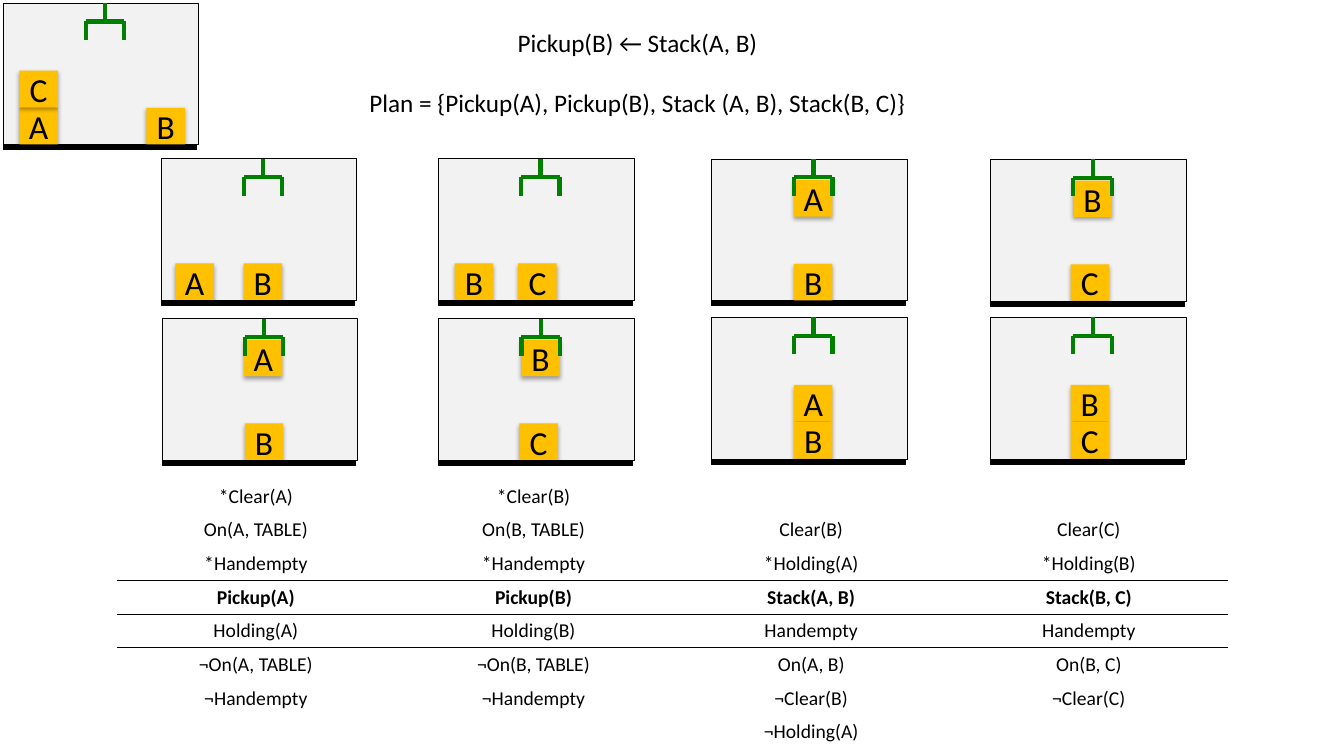
from lxml.etree import SubElement
from pptx import Presentation
from pptx.dml.color import RGBColor
from pptx.enum.shapes import MSO_CONNECTOR, MSO_SHAPE
from pptx.enum.text import MSO_ANCHOR, MSO_AUTO_SIZE, PP_ALIGN
from pptx.oxml import parse_xml
from pptx.oxml.ns import nsdecls, qn
from pptx.util import Cm, Pt

INK = {"text": "000000", "room": "F2F2F2", "block": "FFC000", "hand": "008000"}
FONT = "Calibri"

# Block heights within a scene, in cm from its top
HELD, MID, LOW = 0.53, 1.7, 2.64

# Scene corner, then its blocks: letter, left, top
SCENES = [
    (0.08, 0.08, [("A", 0.41, LOW), ("B", 3.61, LOW), ("C", 0.41, MID)]),
    # Before each step
    (4.06, 4, [("A", 0.36, LOW), ("B", 2.08, LOW)]),
    (11.05, 4, [("B", 0.41, LOW), ("C", 2.01, LOW)]),
    (17.93, 4.01, [("A", 2.08, HELD), ("B", 2.08, LOW)]),
    (24.97, 4.02, [("B", 2.08, HELD), ("C", 2.01, LOW)]),
    # After each step
    (4.09, 8.03, [("A", 2.06, HELD), ("B", 2.08, LOW)]),
    (11.06, 8.03, [("B", 2.08, HELD), ("C", 2.03, LOW)]),
    (17.93, 8, [("A", 2.08, MID), ("B", 2.08, LOW)]),
    (24.97, 8, [("B", 2.01, MID), ("C", 2.01, LOW)]),
]

STEPS = [
    ["*Clear(A)", "*Clear(B)", "", ""],
    ["On(A, TABLE)", "On(B, TABLE)", "Clear(B)", "Clear(C)"],
    ["*Handempty", "*Handempty", "*Holding(A)", "*Holding(B)"],
    ["Pickup(A)", "Pickup(B)", "Stack(A, B)", "Stack(B, C)"],
    ["Holding(A)", "Holding(B)", "Handempty", "Handempty"],
    ["¬On(A, TABLE)", "¬On(B, TABLE)", "On(A, B)", "On(B, C)"],
    ["¬Handempty", "¬Handempty", "¬Clear(B)", "¬Clear(C)"],
    ["", "", "¬Holding(A)", ""],
]
RULES = {2: ["lnB"], 3: ["lnT", "lnB"], 4: ["lnT"]}


def tint(name):
    return RGBColor.from_string(INK[name])


def write(par, text, size=18, bold=False, gap=0):
    par.alignment = PP_ALIGN.CENTER
    if gap:
        par.space_before = Pt(gap)
    if not text:
        SubElement(par._p, qn("a:endParaRPr"), sz=str(size * 100))
        return
    run = par.add_run()
    run.text = text
    font = run.font
    font.name, font.size, font.bold = FONT, Pt(size), bold
    font.color.rgb = tint("text")


def rect(group, x, y, w, h, fill, edge=True):
    shape = group.shapes.add_shape(MSO_SHAPE.RECTANGLE, Cm(x), Cm(y), Cm(w), Cm(h))
    shape.shadow.inherit = False
    shape.fill.solid()
    shape.fill.fore_color.rgb = tint(fill)
    if edge:
        shape.line.color.rgb = tint("text")
        shape.line.width = Pt(0.75)
    else:
        shape.line.fill.background()
    return shape


def block(group, x, y, letter):
    shape = rect(group, x, y, 0.97, 0.92, "block", edge=False)
    shape._element.spPr.find(qn("a:effectLst")).append(parse_xml(
        f'<a:outerShdw {nsdecls("a")} blurRad="40000" dist="23000" dir="5400000" '
        f'rotWithShape="0"><a:srgbClr val="{INK["text"]}"><a:alpha val="35000"/>'
        '</a:srgbClr></a:outerShdw>'))
    frame = shape.text_frame
    frame.word_wrap = False
    frame.vertical_anchor = MSO_ANCHOR.MIDDLE
    write(frame.paragraphs[0], letter, size=24)


def hand(group, x, y):
    left, mid, right, bar, tip = x, x + 0.49, x + 0.97, y + 0.46, y + 0.93
    for ends in [(left, bar, right, bar), (left, bar, left, tip),
                 (mid, y, mid, bar), (right, bar, right, tip)]:
        line = group.shapes.add_connector(MSO_CONNECTOR.STRAIGHT, *map(Cm, ends))
        line.line.color.rgb = tint("hand")
        line.line.width = Pt(3)
        SubElement(line._element.spPr, qn("a:effectLst"))


def scene(slide, x, y, blocks):
    group = slide.shapes.add_group_shape()
    rect(group, x, y, 4.93, 3.57, "room")
    rect(group, x, y + 3.57, 4.88, 0.13, "text")
    for letter, left, top in blocks:
        block(group, x + left, y + top, letter)
    hand(group, x + 2.08, y)


def title(slide, x, y, w, h):
    frame = slide.shapes.add_textbox(Cm(x), Cm(y), Cm(w), Cm(h)).text_frame
    frame.word_wrap = True
    frame.auto_size = MSO_AUTO_SIZE.SHAPE_TO_FIT_TEXT
    write(frame.paragraphs[0], "Pickup(B) ← Stack(A, B)")
    write(frame.add_paragraph(),
          "Plan = {Pickup(A), Pickup(B), Stack (A, B), Stack(B, C)}", gap=21.5)


def rule(cell, sides):
    for spot, side in enumerate(sides):
        cell._tc.get_or_add_tcPr().insert(spot, parse_xml(
            f'<a:{side} {nsdecls("a")} w="12700"><a:solidFill>'
            f'<a:srgbClr val="{INK["text"]}"/></a:solidFill></a:{side}>'))


def steps(slide, x, y, w, h):
    rows, cols = len(STEPS), len(STEPS[0])
    grid = slide.shapes.add_table(rows, cols, Cm(x), Cm(y), Cm(w), Cm(h)).table
    grid.first_row = grid.horz_banding = False
    # Plain table style without grid lines
    style = grid._tbl.tblPr.find(qn("a:tableStyleId"))
    style.text = "{2D5ABB26-0587-4C30-8999-92F81FD0307C}"
    for r, row in enumerate(STEPS):
        for c, text in enumerate(row):
            cell = grid.cell(r, c)
            cell.fill.background()
            cell.vertical_anchor = MSO_ANCHOR.MIDDLE
            cell.margin_top = cell.margin_bottom = Cm(0.1)
            write(cell.text_frame.paragraphs[0], text, size=14, bold=r == 3)
            rule(cell, RULES.get(r, []))


def main():
    deck = Presentation()
    deck.slide_width, deck.slide_height = Cm(33.87), Cm(19.05)
    slide = deck.slides.add_slide(deck.slide_layouts[6])
    title(slide, 9.04, 0.56, 14.05, 3.33)
    for x, y, blocks in SCENES:
        scene(slide, x, y, blocks)
    steps(slide, 2.95, 12.09, 27.99, 6.78)
    deck.save("out.pptx")


if __name__ == "__main__":
    main()
